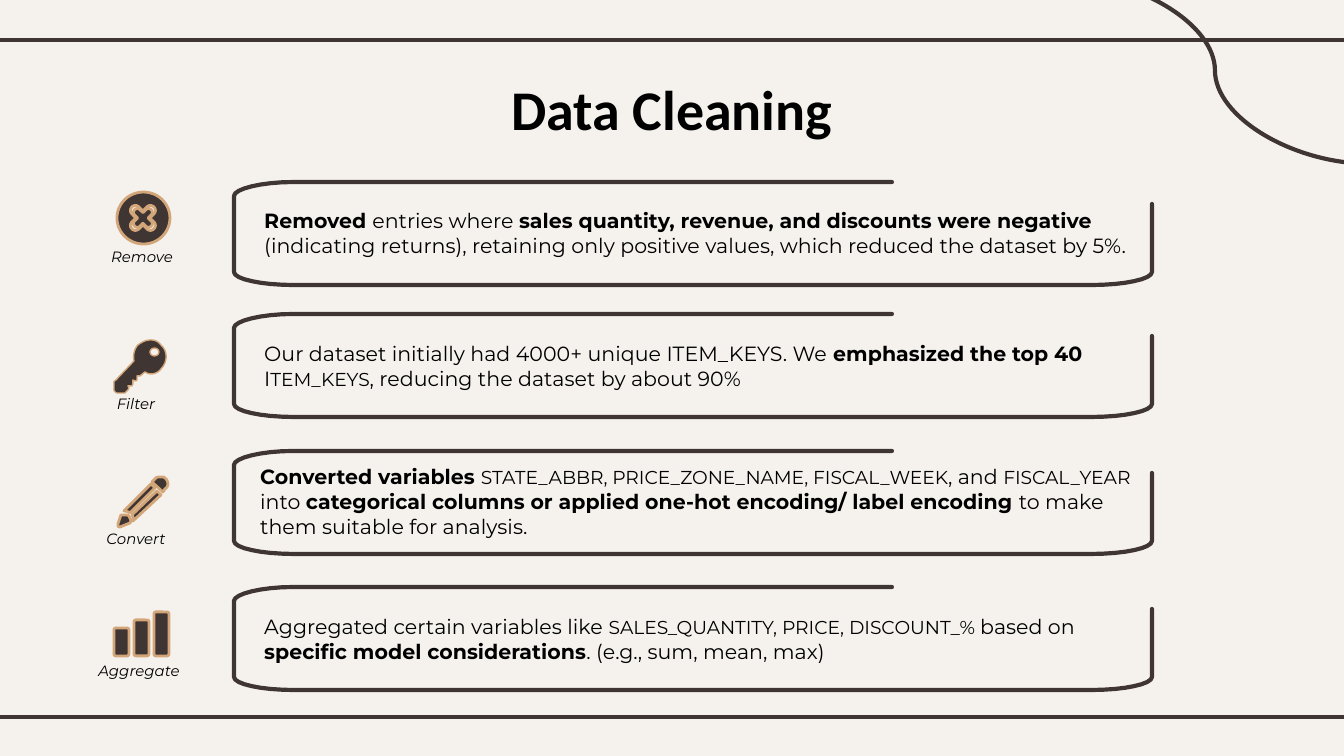
from dataclasses import dataclass

from lxml.etree import SubElement
from pptx import Presentation
from pptx.dml.color import RGBColor
from pptx.enum.shapes import MSO_CONNECTOR as Link, MSO_SHAPE as Preset
from pptx.enum.text import MSO_ANCHOR as Anchor, MSO_AUTO_SIZE as AutoSize, PP_ALIGN as Align
from pptx.oxml.ns import qn
from pptx.util import Inches, Pt


@dataclass(frozen=True)
class Theme:
    paper: RGBColor = RGBColor(0xF5, 0xF2, 0xEE)
    ink: RGBColor = RGBColor(0x3F, 0x35, 0x33)
    tan: RGBColor = RGBColor(0xD3, 0xA6, 0x79)
    text: RGBColor = RGBColor(0, 0, 0)
    heading_font: str = "Calibri"
    body_font: str = "Montserrat"
    heading: int = 30
    body: int = 11
    code: int = 10
    label: int = 8
    rule: float = 2.25
    icon_line: float = 1.5
    thin_line: float = 0.75


THEME = Theme()
WIDTH, HEIGHT = 1344, 756
SCALE = Inches(10) / WIDTH

TITLE = "Data Cleaning"
PLAIN, BOLD, CODE, BREAK = "plain", "bold", "code", "break"

# Panel top, text box (left, top, width, height), text spans
PANELS = [
    (182, (251, 195, 929, 77), [
        (BOLD, "Removed "), (PLAIN, "entries where "),
        (BOLD, "sales quantity, revenue, and discounts were negative"),
        (PLAIN, " (indicating returns), retaining only positive values, "
                "which reduced the dataset by 5%.")]),
    (314, (251, 328, 938, 77), [
        (PLAIN, "Our dataset initially had 4000+ unique ITEM_KEYS. We "),
        (BOLD, "emphasized the top 40"), (PLAIN, " I"), (CODE, "TEM_KEYS"),
        (PLAIN, ", reducing the dataset by about 90%")]),
    (451, (247, 451, 938, 102), [
        (BOLD, "Converted variables "),
        (CODE, "STATE_ABBR, PRICE_ZONE_NAME, FISCAL_WEEK"),
        (PLAIN, ", and "), (CODE, "FISCAL_YEAR"), (BREAK, ""), (PLAIN, "into "),
        (BOLD, "categorical columns or applied one-hot encoding/ label encoding"),
        (PLAIN, " to make"), (BREAK, ""), (PLAIN, "them suitable for analysis.")]),
    (587, (251, 601, 956, 77), [
        (PLAIN, "Aggregated certain variables like "),
        (CODE, "SALES_QUANTITY, PRICE, DISCOUNT_%"), (PLAIN, " based on"),
        (BREAK, ""), (BOLD, "specific model considerations"),
        (PLAIN, ". (e.g., sum, mean, max)")]),
]
LABELS = [
    ("Remove", (89, 245, 106, 23)),
    ("Filter", (83, 392, 106, 23)),
    ("Convert", (83, 527, 106, 23)),
    ("Aggregate", (83, 659, 112, 23)),
]

# In outlines, two numbers are a corner and six are a Bezier curve.
PANEL = [(1152, 22), (1152, 90), (1152, 97, 1125, 103, 1091, 103), (294, 103),
         (261, 103, 234, 97, 234, 90), (234, 14), (234, 7, 261, 0, 294, 0), (892, 0)]
KEY = [(151, 340), (146, 340, 142, 342, 138, 345), (134, 349, 133, 356, 134, 361),
       (116, 380), (115, 381, 114, 381, 114, 382), (114, 390),
       (114, 391, 116, 393, 117, 393), (125, 393), (128, 390), (129, 388), (128, 386),
       (132, 386), (133, 384), (133, 380), (136, 381), (137, 380), (137, 376),
       (140, 376), (145, 372), (147, 373, 148, 374, 151, 374),
       (155, 374, 159, 372, 161, 369), (168, 362, 168, 351, 161, 345),
       (159, 342, 155, 340, 151, 340)]
KEY_HOLE = (150, 348, 9, 8)
PENCIL = [
    [(151, 484), (124, 511), (126, 511, 129, 512, 130, 513), (155, 488)],
    [(161, 477), (159, 477, 157, 477, 156, 478), (152, 482), (163, 492), (165, 489),
     (169, 487, 169, 481, 165, 478), (164, 477, 163, 477, 161, 477)],
    [(157, 491), (132, 515), (133, 517, 134, 519, 133, 521), (161, 495)],
    [(125, 515), (124, 515, 122, 515, 121, 515), (118, 524),
     (118, 526, 118, 527, 120, 527), (125, 525), (130, 523),
     (132, 521, 130, 518, 129, 516), (128, 515, 126, 515, 125, 515)],
]
BUTTON = (117, 192, 53, 52)
CROSS_CENTRE = (143, 218)
CROSS_ARM = [(0, -7), (4, -11), (6, -13, 9, -13, 11, -11), (13, -9, 13, -6, 11, -4)]
BAR_LEFT, BAR_STEP, BAR_WIDTH, BAR_BASE = 114, 20, 15, 656
BAR_HEIGHTS = [28, 36, 44]


def emu(*lengths):
    return [round(length * SCALE) for length in lengths]


def style(shape, width, line=THEME.tan, fill=THEME.ink):
    shape.shadow.inherit = False
    shape.line.color.rgb = line
    shape.line.width = Pt(width)
    if fill is None:
        shape.fill.background()
    else:
        shape.fill.solid()
        shape.fill.fore_color.rgb = fill


def trace(steps, samples=8):
    """Turn corners and Bezier curves into a list of points."""
    points = []
    for step in steps:
        if len(step) == 2:
            points.append(step)
            continue
        corners = [points[-1], step[:2], step[2:4], step[4:]]
        for i in range(1, samples + 1):
            t = i / samples
            weights = ((1 - t) ** 3, 3 * t * (1 - t) ** 2, 3 * t * t * (1 - t), t ** 3)
            points.append(tuple(sum(w * c[axis] for w, c in zip(weights, corners))
                                for axis in (0, 1)))
    return points


def add_outline(page, points, close=True):
    corners = [emu(*point) for point in points]
    builder = page.shapes.build_freeform(*corners[0])
    builder.add_line_segments(corners[1:], close=close)
    return builder.convert_to_shape()


def add_line(page, kind, *ends):
    line = page.shapes.add_connector(kind, *emu(*ends))
    line.line.color.rgb = THEME.ink
    line.line.width = Pt(THEME.rule)
    SubElement(line._element.spPr, qn("a:effectLst"))


def add_text(page, place, spans, font, size, align=Align.CENTER, anchor=Anchor.MIDDLE,
             bold=None, italic=None):
    box = page.shapes.add_textbox(*emu(*place))
    frame = box.text_frame
    frame.word_wrap = True
    frame.vertical_anchor = anchor
    frame.margin_left = frame.margin_right = Inches(0.1)
    frame.margin_top = frame.margin_bottom = Inches(0.1)
    para = frame.paragraphs[0]
    para.alignment = align
    para.font.name, para.font.size = font, Pt(size)
    para.font.bold, para.font.italic = bold, italic
    para.font.color.rgb = THEME.text
    for kind, text in spans:
        if kind == BREAK:
            para.add_line_break()
            continue
        span = para.add_run()
        span.text = text
        if kind == BOLD:
            span.font.bold = True
        elif kind == CODE:
            span.font.size = Pt(THEME.code)
    return box


def add_panel(page, top, place, spans):
    frame = add_outline(page, [(x, y + top) for x, y in trace(PANEL)], close=False)
    style(frame, THEME.rule, line=THEME.ink, fill=None)
    frame.line._get_or_add_ln().set("cap", "rnd")
    box = add_text(page, place, spans, THEME.body_font, THEME.body, Align.LEFT, Anchor.TOP)
    box.text_frame.auto_size = AutoSize.SHAPE_TO_FIT_TEXT


def add_button(page):
    style(page.shapes.add_shape(Preset.OVAL, *emu(*BUTTON)), THEME.icon_line)
    points, arm = [], trace(CROSS_ARM)
    for _ in range(4):
        points += arm
        arm = [(-y, x) for x, y in arm]
    left, top = CROSS_CENTRE
    for size, fill in ((1, THEME.paper), (0.75, THEME.ink)):
        cross = add_outline(page, [(left + x * size, top + y * size) for x, y in points])
        style(cross, THEME.icon_line, fill=fill)


def add_icons(page):
    add_button(page)
    style(add_outline(page, trace(KEY)), THEME.thin_line)
    hole = page.shapes.add_shape(Preset.OVAL, *emu(*KEY_HOLE))
    style(hole, THEME.thin_line, fill=THEME.paper)
    for part in PENCIL:
        style(add_outline(page, trace(part)), THEME.icon_line)
    for i, height in enumerate(BAR_HEIGHTS):
        place = (BAR_LEFT + i * BAR_STEP, BAR_BASE - height, BAR_WIDTH, height)
        bar = page.shapes.add_shape(Preset.ROUNDED_RECTANGLE, *emu(*place))
        bar.adjustments[0] = 0.13
        style(bar, THEME.icon_line)


def main():
    deck = Presentation()
    deck.slide_width, deck.slide_height = emu(WIDTH, HEIGHT)
    page = deck.slides.add_slide(deck.slide_layouts[6])
    page.background.fill.solid()
    page.background.fill.fore_color.rgb = THEME.paper

    for y in (40, 717):
        add_line(page, Link.STRAIGHT, -11, y, WIDTH + 11, y)
    add_line(page, Link.CURVE, 1059, -23, 1371, 164)
    for panel in PANELS:
        add_panel(page, *panel)
    add_text(page, (105, 66, 1134, 85), [(PLAIN, TITLE)], THEME.heading_font,
             THEME.heading, bold=True)
    add_icons(page)
    for label, place in LABELS:
        add_text(page, place, [(PLAIN, label)], THEME.body_font, THEME.label, italic=True)
    deck.save("out.pptx")


if __name__ == "__main__":
    main()
